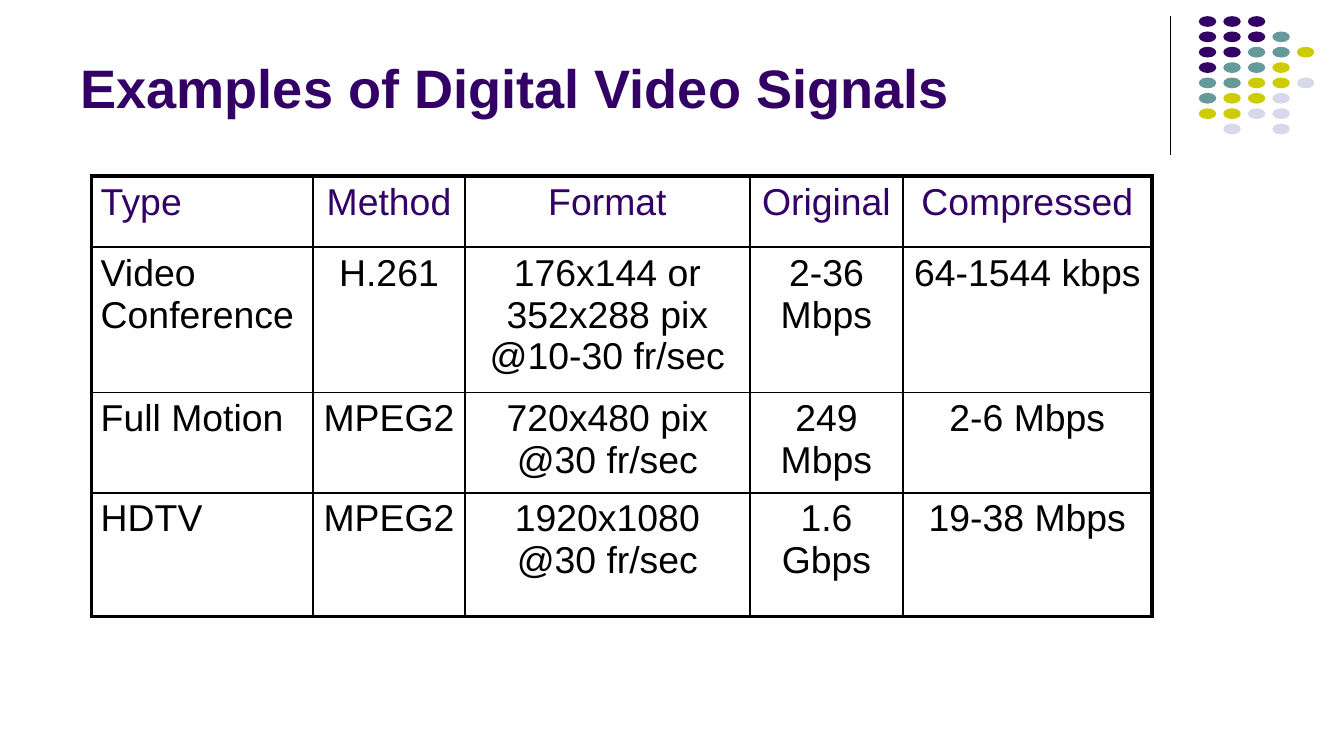
from lxml import etree
from pptx import Presentation
from pptx.dml.color import RGBColor
from pptx.enum.shapes import MSO_CONNECTOR, MSO_SHAPE
from pptx.enum.text import MSO_ANCHOR, PP_ALIGN
from pptx.oxml.ns import qn
from pptx.util import Inches, Pt

LEFT, CENTER = PP_ALIGN.LEFT, PP_ALIGN.CENTER
TOP, BOTTOM = MSO_ANCHOR.TOP, MSO_ANCHOR.BOTTOM
STRAIGHT, OVAL = MSO_CONNECTOR.STRAIGHT, MSO_SHAPE.OVAL

SLIDE_WIDTH = 10
SLIDE_HEIGHT = SLIDE_WIDTH * 9 / 16
FONT = "Arial"
COLORS = {"purple": "330066", "teal": "669999", "olive": "CCCC00",
          "lavender": "D8D8EC", "black": "000000"}

TITLE = "Examples of Digital Video Signals"
HEADER = ["Type", "Method", "Format", "Original", "Compressed"]
SIGNALS = [
    ["Video Conference", "H.261", "176x144 or 352x288 pix @10-30 fr/sec",
     "2-36 Mbps", "64-1544 kbps"],
    ["Full Motion", "MPEG2", "720x480 pix @30 fr/sec", "249 Mbps", "2-6 Mbps"],
    ["HDTV", "MPEG2", "1920x1080 @30 fr/sec", "1.6 Gbps", "19-38 Mbps"],
]
COLUMN_WIDTHS = [1.65, 1.13, 2.12, 1.14, 1.85]
ROW_HEIGHTS = [0.53, 1.07, 0.74, 0.92]
OUTER_BORDER, INNER_BORDER = 2.25, 1

# One letter per dot, the initial of its colour; a period stands for a gap
DOT_ROWS = ["ppp", "pppt", "pptto", "ptto", "ttool", "tool", "ooll", ".l.l"]
DOT_COLORS = {"p": "purple", "t": "teal", "o": "olive", "l": "lavender"}
DOT_LEFT, DOT_RIGHTMOST = 8.92, 9.65
DOT_TOP, DOT_LOWEST = 0.12, 0.92
DOT_WIDTH, DOT_HEIGHT = 0.13, 0.08


def rgb(name):
    return RGBColor.from_string(COLORS[name])


def write(frame, text, size=20, color="black", bold=False, align=LEFT):
    frame.word_wrap = True
    paragraph = frame.paragraphs[0]
    paragraph.text = text
    paragraph.alignment = align
    font = paragraph.runs[0].font
    font.name, font.size, font.bold = FONT, Pt(size), bold
    font.color.rgb = rgb(color)


def set_borders(cell, widths):
    """Draw black borders, with widths in points for left, right, top, bottom."""
    properties = cell._tc.get_or_add_tcPr()
    for position, (side, width) in enumerate(zip("LRTB", widths)):
        border = etree.Element(qn(f"a:ln{side}"), w=str(Pt(width)))
        fill = etree.SubElement(border, qn("a:solidFill"))
        etree.SubElement(fill, qn("a:srgbClr"), val=COLORS["black"])
        properties.insert(position, border)


def add_dots(slide):
    step_x = (DOT_RIGHTMOST - DOT_LEFT) / (max(map(len, DOT_ROWS)) - 1)
    step_y = (DOT_LOWEST - DOT_TOP) / (len(DOT_ROWS) - 1)
    for row, letters in enumerate(DOT_ROWS):
        for column, letter in enumerate(letters):
            if letter not in DOT_COLORS:
                continue
            dot = slide.shapes.add_shape(
                OVAL,
                Inches(DOT_LEFT + column * step_x),
                Inches(DOT_TOP + row * step_y),
                Inches(DOT_WIDTH), Inches(DOT_HEIGHT))
            dot.shadow.inherit = False
            dot.fill.solid()
            dot.fill.fore_color.rgb = rgb(DOT_COLORS[letter])
            dot.line.fill.background()


def add_divider(slide):
    divider = slide.shapes.add_connector(
        STRAIGHT, Inches(8.71), Inches(0.12), Inches(8.71), Inches(1.15))
    divider.line.color.rgb = rgb("black")
    divider.line.width = Pt(0.75)
    etree.SubElement(divider._element.spPr, qn("a:effectLst"))


def add_signal_table(slide):
    rows = [HEADER] + SIGNALS
    last_row, last_column = len(rows) - 1, len(HEADER) - 1
    table = slide.shapes.add_table(
        len(rows), len(HEADER), Inches(0.68), Inches(1.31),
        Inches(sum(COLUMN_WIDTHS)), Inches(sum(ROW_HEIGHTS))).table
    table.horz_banding = False
    for column, width in zip(table.columns, COLUMN_WIDTHS):
        column.width = Inches(width)
    for row, height in zip(table.rows, ROW_HEIGHTS):
        row.height = Inches(height)
    for r, texts in enumerate(rows):
        for c, text in enumerate(texts):
            cell = table.cell(r, c)
            cell.fill.background()
            cell.margin_left = cell.margin_right = Inches(0.07)
            cell.margin_top = cell.margin_bottom = Inches(0.04)
            cell.vertical_anchor = TOP
            write(cell.text_frame, text,
                  color="purple" if r == 0 else "black",
                  align=LEFT if c == 0 else CENTER)
            on_edge = (c == 0, c == last_column, r == 0, r == last_row)
            set_borders(cell, [OUTER_BORDER if edge else INNER_BORDER
                               for edge in on_edge])


def main():
    deck = Presentation()
    deck.slide_width = Inches(SLIDE_WIDTH)
    deck.slide_height = Inches(SLIDE_HEIGHT)
    slide = deck.slides.add_slide(deck.slide_layouts[6])
    add_divider(slide)
    add_dots(slide)
    title = slide.shapes.add_textbox(
        Inches(0.5), Inches(0.1), Inches(8.25), Inches(0.84)).text_frame
    title.vertical_anchor = BOTTOM
    write(title, TITLE, size=29, color="purple", bold=True)
    add_signal_table(slide)
    deck.save("out.pptx")


if __name__ == "__main__":
    main()
